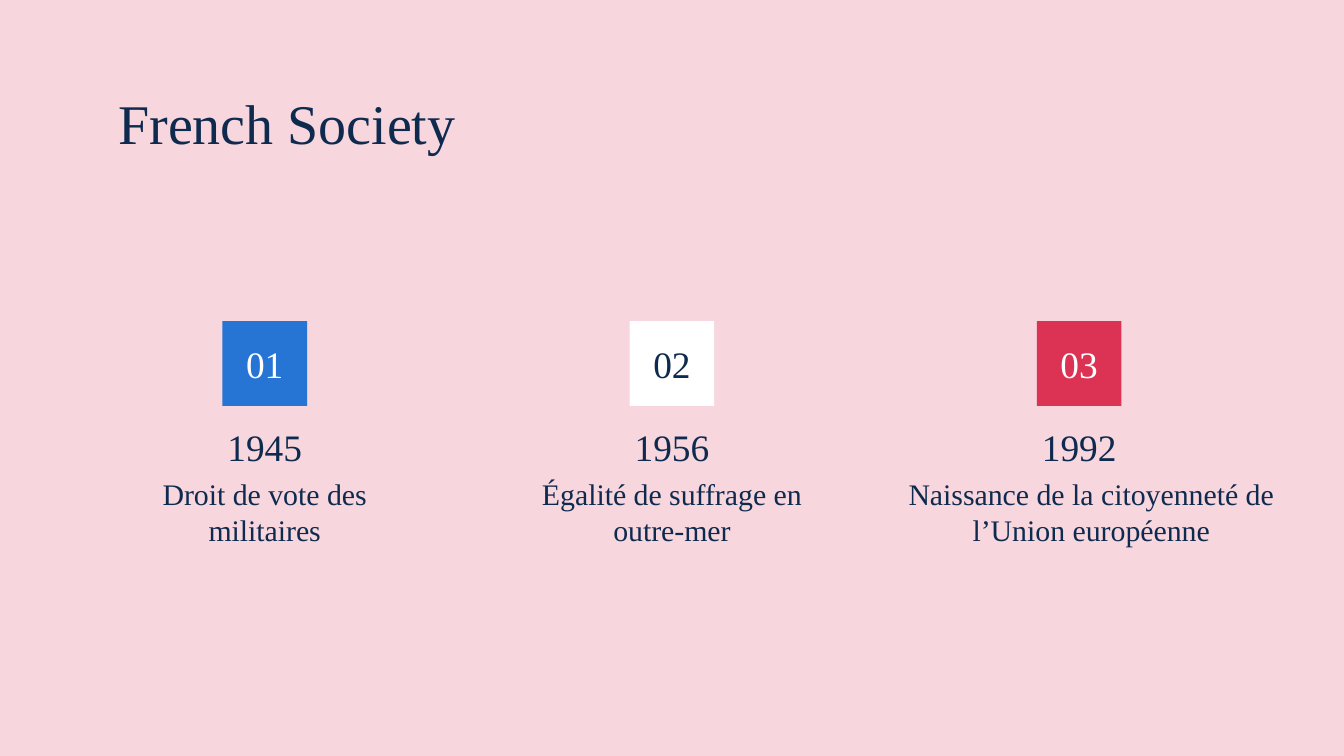
from pptx import Presentation
from pptx.dml.color import RGBColor
from pptx.enum.shapes import MSO_SHAPE
from pptx.enum.text import MSO_ANCHOR, PP_ALIGN
from pptx.util import Inches, Pt

LEFT, CENTER = PP_ALIGN.LEFT, PP_ALIGN.CENTER
TOP, MIDDLE, BOTTOM = MSO_ANCHOR.TOP, MSO_ANCHOR.MIDDLE, MSO_ANCHOR.BOTTOM
RECT = MSO_SHAPE.RECTANGLE

PINK = RGBColor(0xF7, 0xD6, 0xDD)
NAVY = RGBColor(0x0E, 0x2B, 0x4F)
BLUE = RGBColor(0x26, 0x74, 0xD4)
WHITE = RGBColor(0xFF, 0xFF, 0xFF)
RED = RGBColor(0xDC, 0x33, 0x54)
FONT = "Times New Roman"

TITLE = "French Society"
# year, event, square fill, number colour, note width, note shift from column centre
EVENTS = [
    ("1945", "Droit de vote des militaires", BLUE, WHITE, 2.38, 0),
    ("1956", "Égalité de suffrage en outre-mer", WHITE, NAVY, 2.38, 0),
    ("1992", "Naissance de la citoyenneté de l’Union européenne", RED, WHITE, 3.09, 0.09),
]

WIDE = 10
HIGH = WIDE * 9 / 16
EDGE = 0.78
COL = 2.38
STEP = (WIDE - 2 * EDGE - COL) / (len(EVENTS) - 1)
SIDE = 0.63
SQUARE_Y, YEAR_Y, NOTE_Y = 2.39, 3.03, 3.44


def write(shape, text, size, color=NAVY, align=CENTER, anchor=MIDDLE):
    frame = shape.text_frame
    frame.text = text
    frame.word_wrap = True
    frame.vertical_anchor = anchor
    frame.margin_left = frame.margin_right = Inches(0.1)
    frame.margin_top = frame.margin_bottom = Inches(0.1)
    para = frame.paragraphs[0]
    para.alignment = align
    font = para.runs[0].font
    font.name, font.size = FONT, Pt(size)
    font.color.rgb = color


def box(mid, top, width, height):
    """Return left, top, width and height of a box centred on mid."""
    return [Inches(v) for v in (mid - width / 2, top, width, height)]


deck = Presentation()
deck.slide_width, deck.slide_height = Inches(WIDE), Inches(HIGH)
slide = deck.slides.add_slide(deck.slide_layouts[5])
slide.background.fill.solid()
slide.background.fill.fore_color.rgb = PINK
shapes = slide.shapes

title = shapes.title
title.left, title.top, title.width, title.height = box(WIDE / 2, 0.59, WIDE - 2 * EDGE, SIDE)
write(title, TITLE, 30, align=LEFT)

for i, (year, event, fill, ink, width, shift) in enumerate(EVENTS):
    mid = EDGE + COL / 2 + i * STEP
    square = shapes.add_shape(RECT, *box(mid, SQUARE_Y, SIDE, SIDE))
    square.shadow.inherit = False
    square.fill.solid()
    square.fill.fore_color.rgb = fill
    square.line.fill.background()
    write(square, f"{i + 1:02}", 20, ink)
    write(shapes.add_textbox(*box(mid, YEAR_Y, COL, 0.56)), year, 20, anchor=BOTTOM)
    note = shapes.add_textbox(*box(mid + shift, NOTE_Y, width, 1.04))
    write(note, event, 16, anchor=TOP)

deck.save("out.pptx")
